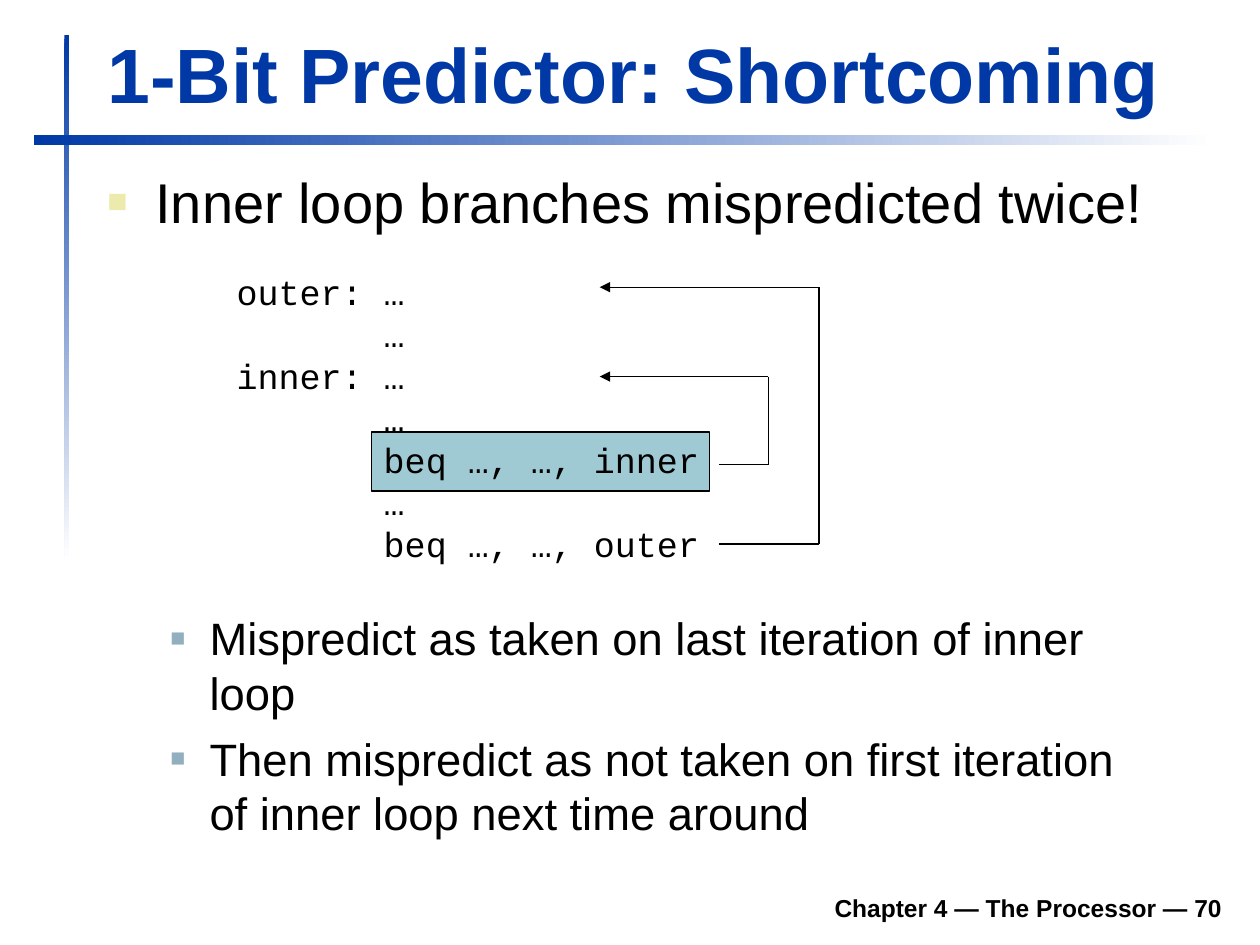
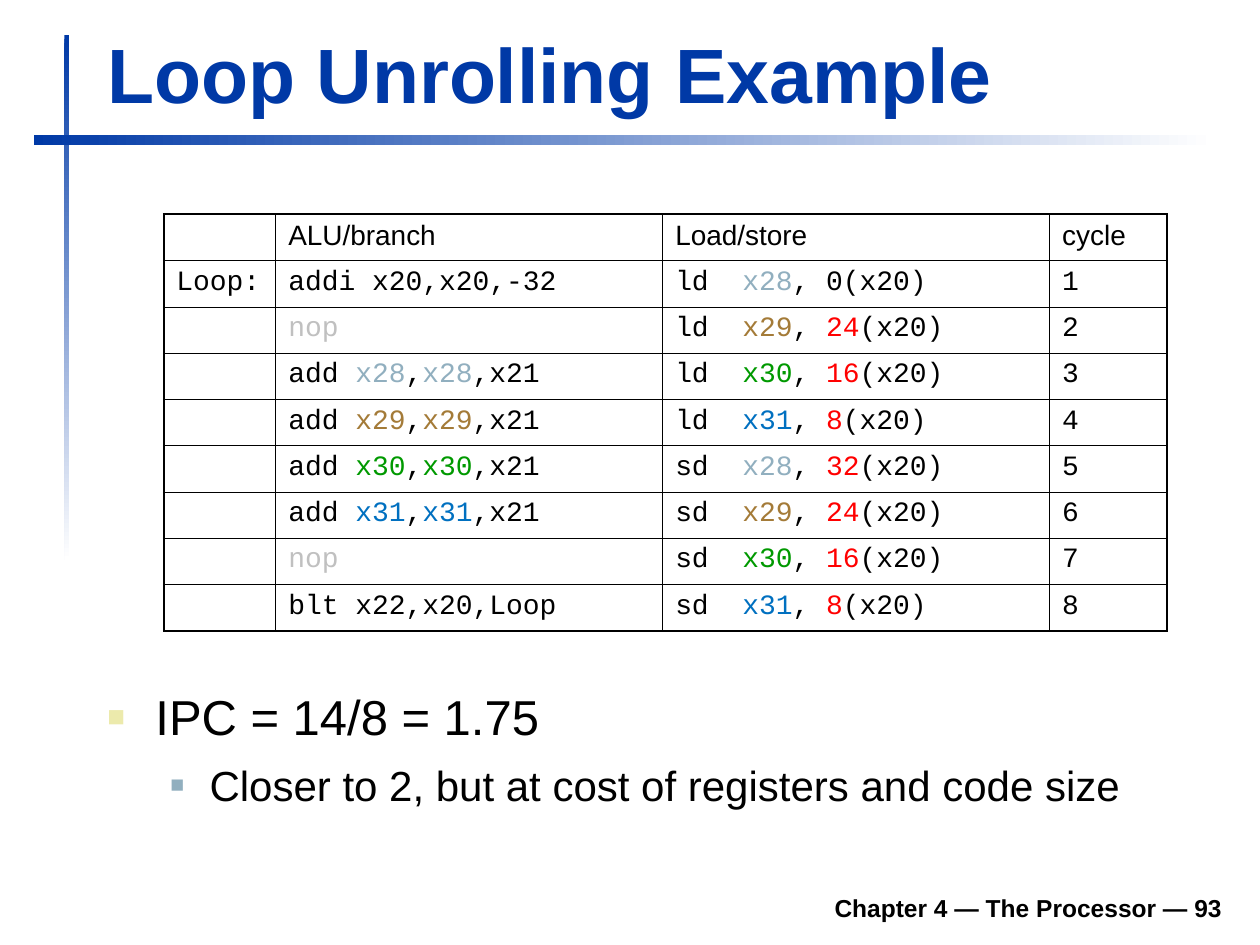
import lxml.etree
import pptx
import pptx.dml.color
import pptx.enum.shapes
import pptx.enum.text
import pptx.oxml.ns
import pptx.util

Cm = pptx.util.Cm
Pt = pptx.util.Pt
qn = pptx.oxml.ns.qn

COLOURS = {
    "black": "000000", "white": "FFFFFF", "blue": "0039A6",
    "highlight": "9FCAD3", "idle": "C0C0C0", "offset": "FF0000",
    "x28": "91AFBF", "x29": "A47B38", "x30": "009900", "x31": "0070C0",
}
SANS, MONO = "Arial", "Courier New"
# Per list level: bullet colour, bullet size in %, left margin, hanging indent
LEVELS = [("ECEAAC", 60, 0.97, -0.97), ("91AFBF", 55, 2.06, -0.79)]
RULE_WIDTH = 0.75
ALIGN = pptx.enum.text.PP_ALIGN
ANCHOR = pptx.enum.text.MSO_ANCHOR


def rgb(name):
    return pptx.dml.color.RGBColor.from_string(COLOURS[name])


def add_run(p, text, size, colour="black", font=SANS, bold=False):
    r = p.add_run()
    r.text = text
    r.font.size = Pt(size)
    r.font.name = font
    r.font.bold = bold
    r.font.color.rgb = rgb(colour)


def place(sp, box):
    sp.left, sp.top, sp.width, sp.height = [Cm(v) for v in box]


def next_paragraph(tf, index):
    return tf.paragraphs[0] if index == 0 else tf.add_paragraph()


def add_gradient_bar(slide, box, angle):
    sp = slide.shapes.add_shape(
        pptx.enum.shapes.MSO_SHAPE.RECTANGLE, *[Cm(v) for v in box])
    sp.shadow.inherit = False
    sp.line.fill.background()
    sp.fill.gradient()
    sp.fill.gradient_angle = angle
    for stop, colour in zip(sp.fill.gradient_stops, ("blue", "white")):
        stop.color.rgb = rgb(colour)


def add_footer(slide, box, number):
    sp = slide.shapes.add_textbox(*[Cm(v) for v in box])
    tf = sp.text_frame
    tf.word_wrap = True
    tf.vertical_anchor = ANCHOR.BOTTOM
    p = tf.paragraphs[0]
    p.alignment = ALIGN.RIGHT
    add_run(p, f"Chapter 4 — The Processor — {number}", 14, bold=True)


def fill_title(sp, box, text):
    place(sp, box)
    tf = sp.text_frame
    tf.auto_size = pptx.enum.text.MSO_AUTO_SIZE.NONE
    tf.vertical_anchor = ANCHOR.BOTTOM
    p = tf.paragraphs[0]
    p.alignment = ALIGN.LEFT
    add_run(p, text, 44, "blue", bold=True)


def new_slide(prs, layout, title, number):
    """Add a slide with the shared bars, footer and title."""
    slide = prs.slides.add_slide(prs.slide_layouts[layout])
    add_gradient_bar(slide, (1.3, 0.71, 0.1, 10.59), 270)
    add_gradient_bar(slide, (0.69, 2.72, 23.8, 0.2), 0)
    add_footer(slide, (4.7, 17.73, 20.19, 0.99), number)
    fill_title(slide.shapes.title, (1.91, 0.41, 22.94, 2.11), title)
    return slide


def add_bullet(p, level):
    colour, percent, margin, indent = LEVELS[level]
    p.level = level
    pPr = p._p.get_or_add_pPr()
    pPr.set("marL", str(Cm(margin)))
    pPr.set("indent", str(Cm(indent)))
    buClr = lxml.etree.SubElement(pPr, qn("a:buClr"))
    lxml.etree.SubElement(buClr, qn("a:srgbClr"), val=colour)
    lxml.etree.SubElement(pPr, qn("a:buSzPct"), val=str(percent * 1000))
    lxml.etree.SubElement(pPr, qn("a:buFont"), typeface=SANS)
    lxml.etree.SubElement(pPr, qn("a:buChar"), char="■")


def fill_list(sp, box, items, gap=7, line_spacing=None):
    """Fill a body placeholder with (level, size, text) items."""
    place(sp, box)
    tf = sp.text_frame
    tf.auto_size = pptx.enum.text.MSO_AUTO_SIZE.NONE
    for i, (level, size, text) in enumerate(items):
        p = next_paragraph(tf, i)
        add_bullet(p, level)
        p.space_before = Pt(gap if i else 0)
        if line_spacing:
            p.line_spacing = Pt(line_spacing)
        add_run(p, text, size)


def add_line(slide, start, end, arrow=False):
    c = slide.shapes.add_connector(
        pptx.enum.shapes.MSO_CONNECTOR.STRAIGHT,
        *[Cm(v) for v in (*start, *end)])
    c.line.color.rgb = rgb("black")
    c.line.width = Pt(RULE_WIDTH)
    if arrow:
        lxml.etree.SubElement(c.line._get_or_add_ln(), qn("a:tailEnd"),
                              type="triangle")
    lxml.etree.SubElement(c._element.spPr, qn("a:effectLst"))


def add_branch(slide, left, top, turn, branch_y, target_y):
    """Draw a jump from a branch line, out to turn, back to its target."""
    points = [(9.98, branch_y), (turn, branch_y), (turn, target_y), (7.57, target_y)]
    points = [(left + x, top + y) for x, y in points]
    for i, (start, end) in enumerate(zip(points, points[1:])):
        add_line(slide, start, end, arrow=i == 2)


def add_loop_code(slide, box):
    left, top, width, height = box
    sp = slide.shapes.add_shape(
        pptx.enum.shapes.MSO_SHAPE.RECTANGLE,
        Cm(left + 2.97), Cm(top + 3.38), Cm(6.81), Cm(1.19))
    sp.shadow.inherit = False
    sp.fill.solid()
    sp.fill.fore_color.rgb = rgb("highlight")
    sp.line.color.rgb = rgb("black")
    sp.line.width = Pt(RULE_WIDTH)

    tf = slide.shapes.add_textbox(*[Cm(v) for v in box]).text_frame
    tf.word_wrap = False
    lines = ["outer: …", "       …", "inner: …", "       …",
             "       beq …, …, inner", "       …", "       beq …, …, outer"]
    for i, line in enumerate(lines):
        p = next_paragraph(tf, i)
        p.line_spacing = Pt(24)
        add_run(p, line, 20, font=MONO)

    add_branch(slide, left, top, turn=10.97, branch_y=4.04, target_y=2.26)
    add_branch(slide, left, top, turn=11.99, branch_y=5.64, target_y=0.46)


def plain(text):
    return [(text, "black")] if text else []


def nop():
    return [("nop", "idle")]


def add_op(reg):
    return [("add ", "black"), (reg, reg), (",", "black"), (reg, reg), (",x21", "black")]


def memory_op(op, reg, offset):
    runs = [(op + "  ", "black"), (reg, reg)]
    if offset == 0:
        return runs + plain(", 0(x20)")
    return runs + [(", ", "black"), (str(offset), "offset"), ("(x20)", "black")]


def set_borders(cell, **widths):
    tcPr = cell._tc.get_or_add_tcPr()
    for side in "LRTB":
        ln = lxml.etree.SubElement(tcPr, qn("a:ln" + side),
                                   w=str(Pt(widths[side])))
        fill = lxml.etree.SubElement(ln, qn("a:solidFill"))
        lxml.etree.SubElement(fill, qn("a:srgbClr"), val=COLOURS["black"])


def add_schedule(slide, box):
    regs = ["x28", "x29", "x30", "x31"]
    alu = [plain("addi x20,x20,-32"), nop(), *map(add_op, regs), nop(),
           plain("blt x22,x20,Loop")]
    memory = [memory_op("ld", *pair) for pair in zip(regs, (0, 24, 16, 8))]
    memory += [memory_op("sd", *pair) for pair in zip(regs, (32, 24, 16, 8))]
    rows = [[plain(t) for t in ("", "ALU/branch", "Load/store", "cycle")]]
    for i, (left_op, right_op) in enumerate(zip(alu, memory)):
        label = plain("" if i else "Loop:")
        rows.append([label, left_op, right_op, plain(str(i + 1))])

    widths = [2.26, 7.8, 7.8, 2.36]
    last_row, last_col = len(rows) - 1, len(widths) - 1
    table = slide.shapes.add_table(
        len(rows), len(widths), *[Cm(v) for v in box]).table
    table.first_row = table.horz_banding = False
    for column, width in zip(table.columns, widths):
        column.width = Cm(width)
    outer, head, inner = 1.08, 0.75, 0.45
    for i, row in enumerate(rows):
        table.rows[i].height = Cm(box[3] / len(rows))
        for j, runs in enumerate(row):
            cell = table.cell(i, j)
            set_borders(
                cell,
                L=inner if j else outer,
                R=outer if j == last_col else inner,
                T={0: outer, 1: head}.get(i, inner),
                B={0: head, last_row: outer}.get(i, inner))
            cell.fill.background()
            p = cell.text_frame.paragraphs[0]
            for text, colour in runs:
                add_run(p, text, 16, colour, MONO if i else SANS)
            if not runs:
                lxml.etree.SubElement(p._p, qn("a:endParaRPr"), sz="1600")


def build_predictor_slide(prs):
    slide = new_slide(prs, 3, "1-Bit Predictor: Shortcoming", 70)
    _, intro, details = slide.placeholders
    fill_list(intro, (1.91, 3.25, 22.96, 2),
              [(0, 32, "Inner loop branches mispredicted twice!")])
    add_loop_code(slide, (4.52, 5.33, 9.86, 6.2))
    fill_list(details, (1.91, 12.19, 21.59, 5.2), [
        (1, 25.9, "Mispredict as taken on last iteration of inner loop"),
        (1, 25.9, "Then mispredict as not taken on first iteration "
                  "of inner loop next time around"),
    ], line_spacing=30.9)


def build_unrolling_slide(prs):
    slide = new_slide(prs, 1, "Loop Unrolling Example", 93)
    _, body = slide.placeholders
    fill_list(body, (1.91, 13.72, 22.96, 3.6), [
        (0, 28, "IPC = 14/8 = 1.75"),
        (1, 24, "Closer to 2, but at cost of registers and code size"),
    ], gap=8)
    add_schedule(slide, (3.3, 4.32, 20.22, 8.4))


def main():
    prs = pptx.Presentation()
    prs.slide_width, prs.slide_height = Cm(25.4), Cm(19.05)
    build_predictor_slide(prs)
    build_unrolling_slide(prs)
    prs.save("out.pptx")


if __name__ == "__main__":
    main()
